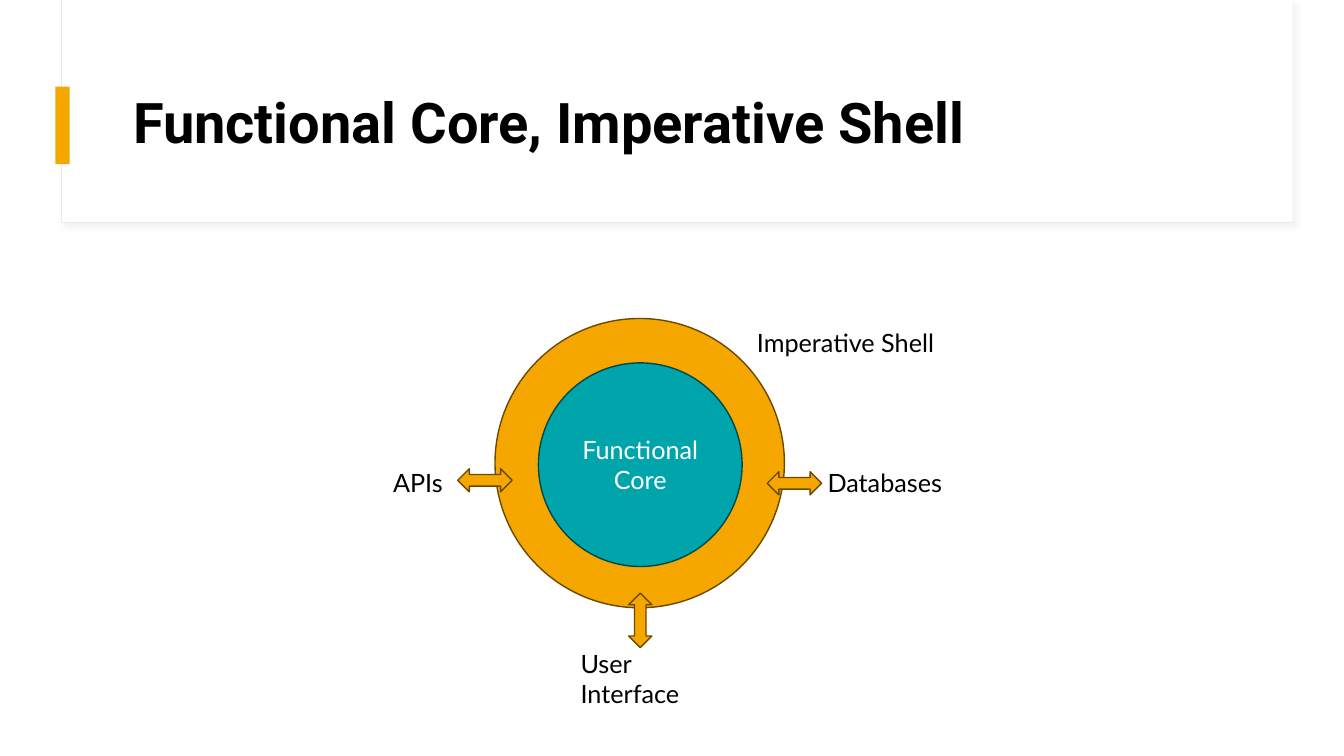
from dataclasses import dataclass

from lxml import etree
from pptx import Presentation
from pptx.dml.color import RGBColor
from pptx.enum.shapes import MSO_SHAPE
from pptx.enum.text import MSO_ANCHOR, MSO_AUTO_SIZE, PP_ALIGN
from pptx.oxml.ns import qn
from pptx.util import Emu, Inches, Pt

RECT, OVAL, ARROW = MSO_SHAPE.RECTANGLE, MSO_SHAPE.OVAL, MSO_SHAPE.LEFT_RIGHT_ARROW
MIDDLE = MSO_ANCHOR.MIDDLE
NO_FIT, GROW = MSO_AUTO_SIZE.NONE, MSO_AUTO_SIZE.SHAPE_TO_FIT_TEXT
LEFT, CENTER = PP_ALIGN.LEFT, PP_ALIGN.CENTER

WHITE, BLACK, AMBER, TEAL = "FFFFFF", "000000", "F5A700", "00A5AB"
AMBER_EDGE, TEAL_EDGE, PANEL_EDGE = "6B4900", "00484B", "E9E9E9"
COLS, ROWS = 1333, 750  # fine grid over the slide
ARROW_COLS, ARROW_ROWS = 54, 23

prs = Presentation()
prs.slide_width, prs.slide_height = Inches(13.33), Inches(7.5)


@dataclass
class Box:
    """A place on the grid, in columns and rows."""
    col: int
    row: int
    cols: int
    rows: int

    def emu(self) -> list[Emu]:
        cw, rh = prs.slide_width / COLS, prs.slide_height / ROWS
        return [Emu(round(n)) for n in
                (self.col * cw, self.row * rh, self.cols * cw, self.rows * rh)]


@dataclass
class Block:
    kind: int
    box: Box
    fill: str
    edge: str = ""
    weight: float = 1
    rotation: int = 0


@dataclass
class Label:
    text: str
    box: Box


def color(value: str) -> RGBColor:
    return RGBColor.from_string(value)


def draw_block(s, block: Block):
    sp = s.shapes.add_shape(block.kind, *block.box.emu())
    sp.shadow.inherit = False
    sp.rotation = block.rotation
    sp.fill.solid()
    sp.fill.fore_color.rgb = color(block.fill)
    if block.edge:
        sp.line.color.rgb = color(block.edge)
        sp.line.width = Pt(block.weight)
    else:
        sp.line.fill.background()
    return sp


def add_run(p, text: str, size: int, font: str, ink: str, bold: bool = False) -> None:
    r = p.add_run()
    r.text = text
    r.font.size, r.font.name, r.font.bold = Pt(size), font, bold
    r.font.color.rgb = color(ink)


def draw_label(s, label: Label) -> None:
    tf = s.shapes.add_textbox(*label.box.emu()).text_frame
    tf.word_wrap = True
    tf.auto_size = GROW
    add_run(tf.paragraphs[0], label.text, 18, "Lato", BLACK)


def soften(sp, ink: str, opacity: int) -> None:
    """Give the shape a soft shadow toward the lower right."""
    effects = sp._element.spPr.find(qn("a:effectLst"))
    shadow = etree.SubElement(effects, qn("a:outerShdw"), blurRad=str(Pt(4)),
                              dist=str(Pt(3)), dir=str(45 * 60000),
                              algn="tl", rotWithShape="0")
    tint = etree.SubElement(shadow, qn("a:srgbClr"), val=ink)
    etree.SubElement(tint, qn("a:alpha"), val=str(opacity * 1000))


def arrow(col: int, row: int, rotation: int = 0) -> Block:
    return Block(ARROW, Box(col, row, ARROW_COLS, ARROW_ROWS),
                 AMBER, AMBER_EDGE, rotation=rotation)


PANEL = Block(RECT, Box(61, 0, 1221, 221), WHITE, PANEL_EDGE, 0.75)
PANEL_FACE = Block(RECT, Box(62, 0, 1220, 220), WHITE)
ACCENT = Block(RECT, Box(55, 86, 14, 77), AMBER)
SHELL = Block(OVAL, Box(491, 316, 287, 287), AMBER, AMBER_EDGE)
CORE = Block(OVAL, Box(534, 360, 202, 202), TEAL, TEAL_EDGE)
ARROWS = [arrow(761, 468), arrow(454, 465), arrow(608, 604, rotation=90)]
LABELS = [
    Label("Imperative Shell", Box(741, 320, 216, 40)),
    Label("Databases", Box(811, 459, 216, 40)),
    Label("APIs", Box(380, 459, 77, 40)),
    Label("User Interface", Box(566, 638, 138, 71)),
]


def main() -> None:
    s = prs.slides.add_slide(prs.slide_layouts[5])

    # Header panel
    soften(draw_block(s, PANEL), "D9D9D9", 30)
    draw_block(s, PANEL_FACE)
    draw_block(s, ACCENT)

    # Title, raised above the panel
    title = s.shapes.title
    title.left, title.top, title.width, title.height = Box(122, 60, 1112, 129).emu()
    s.shapes._spTree.append(title._element)
    tf = title.text_frame
    tf.word_wrap, tf.auto_size, tf.vertical_anchor = True, NO_FIT, MIDDLE
    p = tf.paragraphs[0]
    p.alignment, p.line_spacing = LEFT, 0.9
    add_run(p, "Functional Core, Imperative Shell", 40, "Roboto", BLACK, bold=True)

    # Shell and core
    draw_block(s, SHELL)
    tf = draw_block(s, CORE).text_frame
    tf.word_wrap, tf.vertical_anchor = True, MIDDLE
    for i, word in enumerate(("Functional", "Core")):
        p = tf.add_paragraph() if i else tf.paragraphs[0]
        p.alignment = CENTER
        add_run(p, word, 18, "Lato", WHITE)

    # Links to the outside world
    for block in ARROWS:
        draw_block(s, block)
    for label in LABELS:
        draw_label(s, label)

    prs.save("out.pptx")


if __name__ == "__main__":
    main()
